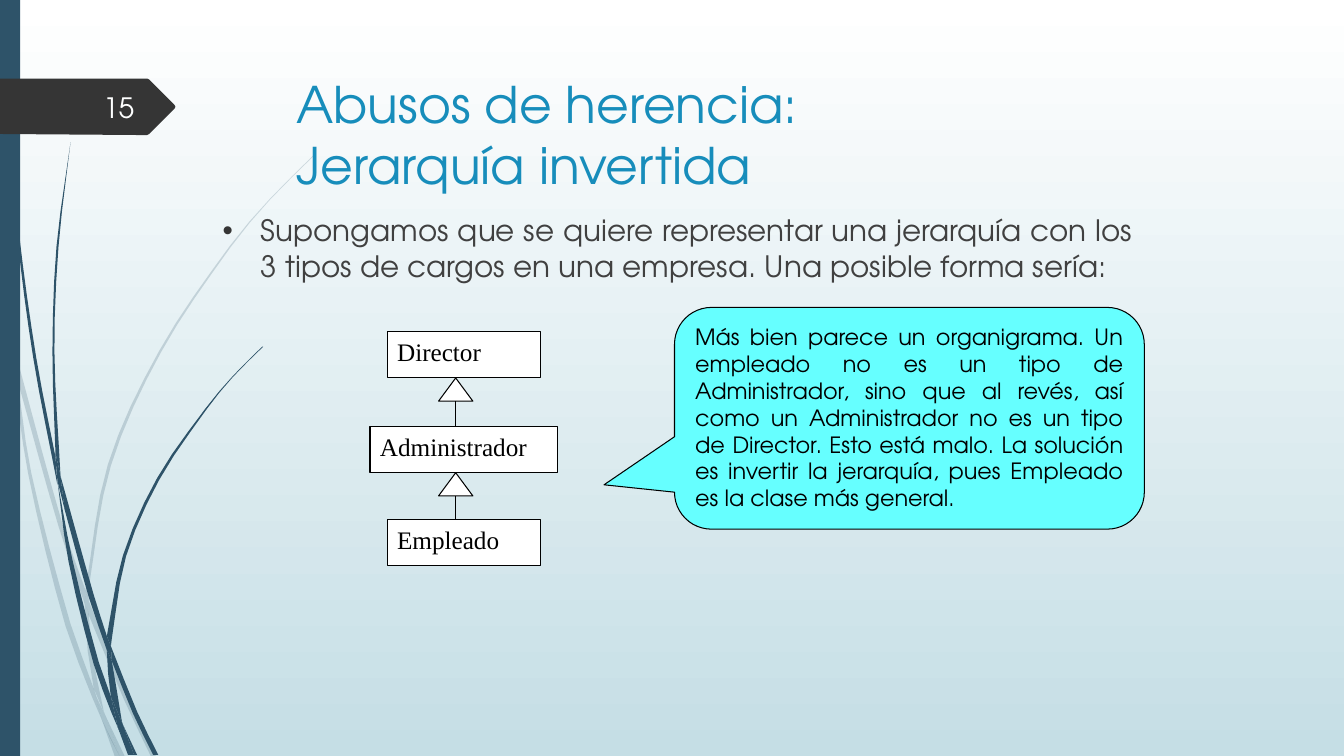
from dataclasses import dataclass
from math import dist
from typing import Optional

from lxml import etree
from pptx import Presentation
from pptx.dml.color import RGBColor
from pptx.enum.shapes import MSO_CONNECTOR, MSO_SHAPE
from pptx.enum.text import MSO_ANCHOR, PP_ALIGN
from pptx.oxml.ns import qn
from pptx.util import Inches, Pt

Edge = list[tuple[float, float]]


@dataclass(frozen=True)
class Theme:
    heading_font: str = "TeX Gyre Adventor"
    diagram_font: str = "Times New Roman"
    title_size: float = 36
    body_size: float = 21
    number_size: float = 20
    class_size: float = 18
    callout_size: float = 16
    outline_width: float = 0.75
    title: str = "178DBB"
    body: str = "404040"
    dark: str = "353535"
    number: str = "FEFFFF"
    accent: str = "2E5369"
    black: str = "000000"
    white: str = "FFFFFF"
    callout: str = "66FFFF"
    background_end: str = "C5DEE5"


@dataclass(frozen=True)
class TextStyle:
    font: str
    size: float
    color: str
    align: PP_ALIGN = PP_ALIGN.JUSTIFY
    anchor: MSO_ANCHOR = MSO_ANCHOR.TOP


@dataclass(frozen=True)
class Wisp:
    """A curved sliver of grass: one edge out, the other edge back."""
    out: Edge
    back: Edge


@dataclass(frozen=True)
class ClassBox:
    name: str
    top: float
    width: float


THEME = Theme()
PALE_WISPS = [
    Wisp([(0.11, 3.5), (0.09, 3.22), (0, 2.82)], [(0, 2.99), (0.1, 3.44)]),
    Wisp([(0.14, 3.45), (0.62, 5.2), (0.85, 5.86)], [(0.84, 5.99), (0.58, 5.22), (0.17, 3.76)]),
    Wisp([(0.88, 5.96), (1.27, 6.92), (1.55, 7.51)], [(1.5, 7.51), (1.23, 6.94), (0.88, 6.1)]),
    Wisp([(1.05, 7.11), (1.24, 7.51)], [(1.19, 7.51)]),
    Wisp([(0.11, 3.5), (0.17, 3.76), (0.31, 4.69), (0.7, 6.19), (0.93, 6.83), (1.01, 7.14)],
         [(0.92, 6.93), (0.65, 6.21), (0.28, 4.7), (0.11, 3.5)]),
    Wisp([(0.84, 5.99), (0.87, 6.46), (0.93, 6.83), (1.05, 7.11)], [(1.03, 7.06), (0.91, 6.46), (0.88, 6.08)]),
    Wisp([(0.88, 5.96), (0.88, 5.84), (1.1, 4.62), (1.6, 3.49), (2.29, 2.45), (2.68, 1.98), (3.12, 1.54)],
         [(3.12, 1.53), (2.68, 1.97), (2.28, 2.44), (1.58, 3.48), (1.07, 4.61), (0.85, 5.84), (0.85, 5.86)]),
    Wisp([(1.01, 7.14), (1.14, 7.51)], [(1.19, 7.51)]),
    Wisp([(0.88, 6.1), (0.88, 5.96), (0.85, 5.86)], [(0.84, 5.99), (0.88, 6.08)]),
    Wisp([(0.93, 6.83), (1.01, 7.14), (1.19, 7.51)], [(1.05, 7.11), (0.96, 6.92)]),
]
DARK_WISPS = [
    Wisp([(0.03, 0), (0.07, 1.1), (0.17, 2.33), (0.33, 3.55), (0.57, 4.81)],
         [(0.55, 4.53), (0.36, 3.55), (0.19, 2.32), (0.08, 1.09), (0.04, 0)]),
    Wisp([(0.6, 4.72), (0.93, 5.9), (1.06, 6.31)], [(1.06, 6.45), (0.88, 5.92), (0.64, 5.05)]),
    Wisp([(1.1, 6.41), (1.36, 7.06), (1.57, 7.49)], [(1.52, 7.49), (1.32, 7.08), (1.11, 6.56)]),
    Wisp([(0.57, 4.77), (0.72, 5.56), (0.98, 6.57), (1.1, 6.91), (1.17, 7.22)],
         [(1.11, 7.08), (0.93, 6.59), (0.68, 5.57), (0.57, 4.77)]),
    Wisp([(0.6, 4.72), (0.54, 3.49), (0.58, 2.45), (0.7, 1.41)],
         [(0.7, 1.41), (0.56, 2.45), (0.52, 3.49), (0.55, 4.49)]),
    Wisp([(1.22, 7.19), (1.36, 7.49)], [(1.33, 7.49)]),
    Wisp([(0.55, 4.49), (0.6, 4.72), (0.64, 5.05)], [(0.57, 4.77), (0.55, 4.53)]),
    Wisp([(1.1, 6.41), (1.11, 6.33), (1.25, 5.52), (1.58, 4.76), (2.05, 4.06), (2.31, 3.74), (2.61, 3.44)],
         [(2.6, 3.44), (2.31, 3.73), (2.04, 4.05), (1.56, 4.74), (1.22, 5.51), (1.06, 6.31)]),
    Wisp([(1.17, 7.22), (1.31, 7.49)], [(1.27, 7.49)]),
    Wisp([(1.06, 6.45), (1.1, 6.91), (1.22, 7.19)], [(1.21, 7.16), (1.11, 6.56), (1.09, 6.51)]),
    Wisp([(1.06, 6.31), (1.1, 6.41), (1.11, 6.56)], [(1.09, 6.51), (1.06, 6.45)]),
    Wisp([(1.1, 6.91), (1.22, 7.19), (1.33, 7.49)], [(1.3, 7.49), (1.17, 7.22)]),
]
TAG_OUTLINE = [(1.73, 1.08), (1.48, 1.33), (1.46, 1.34), (1.36, 1.34), (0, 1.33), (0, 0.78),
               (1.46, 0.78), (1.48, 0.79), (1.73, 1.04), (1.74, 1.06)]
CLASS_BOXES = [ClassBox("Director", 3.29, 1.52), ClassBox("Administrador", 4.23, 1.86),
               ClassBox("Empleado", 5.15, 1.52)]


def smooth(edge: Edge, longest: float = 0.4) -> Edge:
    """Curve an edge through its points, adding points only on long stretches."""
    padded = [edge[0], *edge, edge[-1]]
    curve = [edge[0]]
    for before, start, end, after in zip(padded, padded[1:], padded[2:], padded[3:]):
        length = dist(start, end)
        leave = length / (dist(before, start) + length)
        arrive = length / (length + dist(end, after))
        steps = 1 + int(length / longest)
        for t in (step / steps for step in range(1, steps + 1)):
            curve.append(tuple(
                q + (r - q) * t * t * (3 - 2 * t)
                + (r - p) * leave * t * (1 - t) ** 2 - (s - q) * arrive * t * t * (1 - t)
                for p, q, r, s in zip(before, start, end, after)))
    return curve


def paint(shape, fill: str, line: Optional[str] = None) -> None:
    shape.shadow.inherit = False
    shape.fill.solid()
    shape.fill.fore_color.rgb = RGBColor.from_string(fill)
    if line is None:
        shape.line.fill.background()
    else:
        shape.line.color.rgb = RGBColor.from_string(line)
        shape.line.width = Pt(THEME.outline_width)


def add_outline(shapes, points: Edge, fill: str):
    first, *others = [(Inches(x), Inches(y)) for x, y in points]
    builder = shapes.build_freeform(*first)
    builder.add_line_segments(others, close=True)
    shape = builder.convert_to_shape()
    paint(shape, fill)
    return shape


def add_wisps(slide, wisps: list[Wisp], opacity: int) -> None:
    shapes = slide.shapes.add_group_shape().shapes
    for wisp in wisps:
        shape = add_outline(shapes, smooth(wisp.out) + smooth(wisp.back), THEME.accent)
        color = shape._element.spPr.find(qn("a:solidFill"))[0]
        etree.SubElement(color, qn("a:alpha"), val=str(opacity * 1000))


def add_box(shapes, kind: MSO_SHAPE, box: tuple[float, ...], fill: str, line: Optional[str] = THEME.black):
    shape = shapes.add_shape(kind, *map(Inches, box))
    paint(shape, fill, line)
    return shape


def write(shape, text: str, style: TextStyle):
    text_frame = shape.text_frame
    text_frame.text = text
    text_frame.word_wrap = True
    text_frame.vertical_anchor = style.anchor
    paragraph = text_frame.paragraphs[0]
    paragraph.alignment = style.align
    for run in paragraph.runs:
        run.font.name, run.font.size = style.font, Pt(style.size)
        run.font.color.rgb = RGBColor.from_string(style.color)
    return paragraph


def add_text(slide, box: tuple[float, ...], text: str, style: TextStyle):
    return write(slide.shapes.add_textbox(*map(Inches, box)), text, style)


def add_bullet(paragraph, indent: float) -> None:
    properties = paragraph._p.get_or_add_pPr()
    properties.set("marL", str(Inches(indent)))
    properties.set("indent", str(-Inches(indent)))
    color = etree.SubElement(properties, qn("a:buClr"))
    etree.SubElement(color, qn("a:srgbClr"), val=THEME.dark)
    etree.SubElement(properties, qn("a:buFont"), typeface="Arial")
    etree.SubElement(properties, qn("a:buChar"), char="•")


def add_hierarchy(slide) -> None:
    """Stack the classes, each one inheriting from the one above."""
    center, arrow_x, height, head_width, head_height = 4.6, 4.52, 0.46, 0.34, 0.23
    style = TextStyle(THEME.diagram_font, THEME.class_size, THEME.black)
    shapes = slide.shapes.add_group_shape().shapes
    for item in CLASS_BOXES:
        box = (center - item.width / 2, item.top, item.width, height)
        write(add_box(shapes, MSO_SHAPE.RECTANGLE, box, THEME.white), item.name, style)
    for parent, child in zip(CLASS_BOXES, CLASS_BOXES[1:]):
        head = (arrow_x - head_width / 2, parent.top + height, head_width, head_height)
        add_box(shapes, MSO_SHAPE.ISOSCELES_TRIANGLE, head, THEME.white)
        ends = (arrow_x, parent.top + height + head_height, arrow_x, child.top)
        stem = shapes.add_connector(MSO_CONNECTOR.STRAIGHT, *map(Inches, ends))
        stem.line.color.rgb = RGBColor.from_string(THEME.black)
        stem.line.width = Pt(THEME.outline_width)
        etree.SubElement(stem._element.spPr, qn("a:effectLst"))


def add_callout(slide) -> None:
    callout = add_box(slide.shapes, MSO_SHAPE.ROUNDED_RECTANGULAR_CALLOUT, (6.69, 3.05, 4.66, 2.2), THEME.callout)
    for index, value in enumerate((-0.65, 0.3, 1 / 6)):
        callout.adjustments[index] = value
    write(callout, "Más bien parece un organigrama. Un empleado no es un tipo de Administrador, sino que al revés, "
          "así como un Administrador no es un tipo de Director. Esto está malo. La solución es invertir "
          "la jerarquía, pues Empleado es la clase más general.",
          TextStyle(THEME.heading_font, THEME.callout_size, THEME.black))


def main() -> None:
    presentation = Presentation()
    presentation.slide_width, presentation.slide_height = Inches(13.33), Inches(7.5)
    slide = presentation.slides.add_slide(presentation.slide_layouts[6])
    background = slide.background.fill
    background.gradient()
    background.gradient_angle = 270
    for stop, color in zip(background.gradient_stops, (THEME.white, THEME.background_end)):
        stop.color.rgb = RGBColor.from_string(color)
    add_wisps(slide, PALE_WISPS, opacity=20)
    add_wisps(slide, DARK_WISPS, opacity=100)
    add_box(slide.shapes, MSO_SHAPE.RECTANGLE, (0, 0, 0.2, 7.5), THEME.accent, line=None)
    add_outline(slide.shapes, TAG_OUTLINE, THEME.dark)
    add_text(slide, (2.84, 0.68, 9.75, 1.4), "Abusos de herencia:\vJerarquía invertida",
             TextStyle(THEME.heading_font, THEME.title_size, THEME.title, PP_ALIGN.LEFT))
    body = add_text(slide, (2.11, 2.06, 9.22, 1.08), "Supongamos que se quiere representar una jerarquía con los "
                    "3 tipos de cargos en una empresa. Una posible forma sería:",
                    TextStyle(THEME.heading_font, THEME.body_size, THEME.body))
    body.space_before = Pt(10)
    add_bullet(body, indent=0.38)
    add_text(slide, (0.58, 0.86, 0.85, 0.4), "15",
             TextStyle(THEME.heading_font, THEME.number_size, THEME.number, PP_ALIGN.RIGHT, MSO_ANCHOR.MIDDLE))
    add_hierarchy(slide)
    add_callout(slide)
    presentation.save("out.pptx")


if __name__ == "__main__":
    main()
